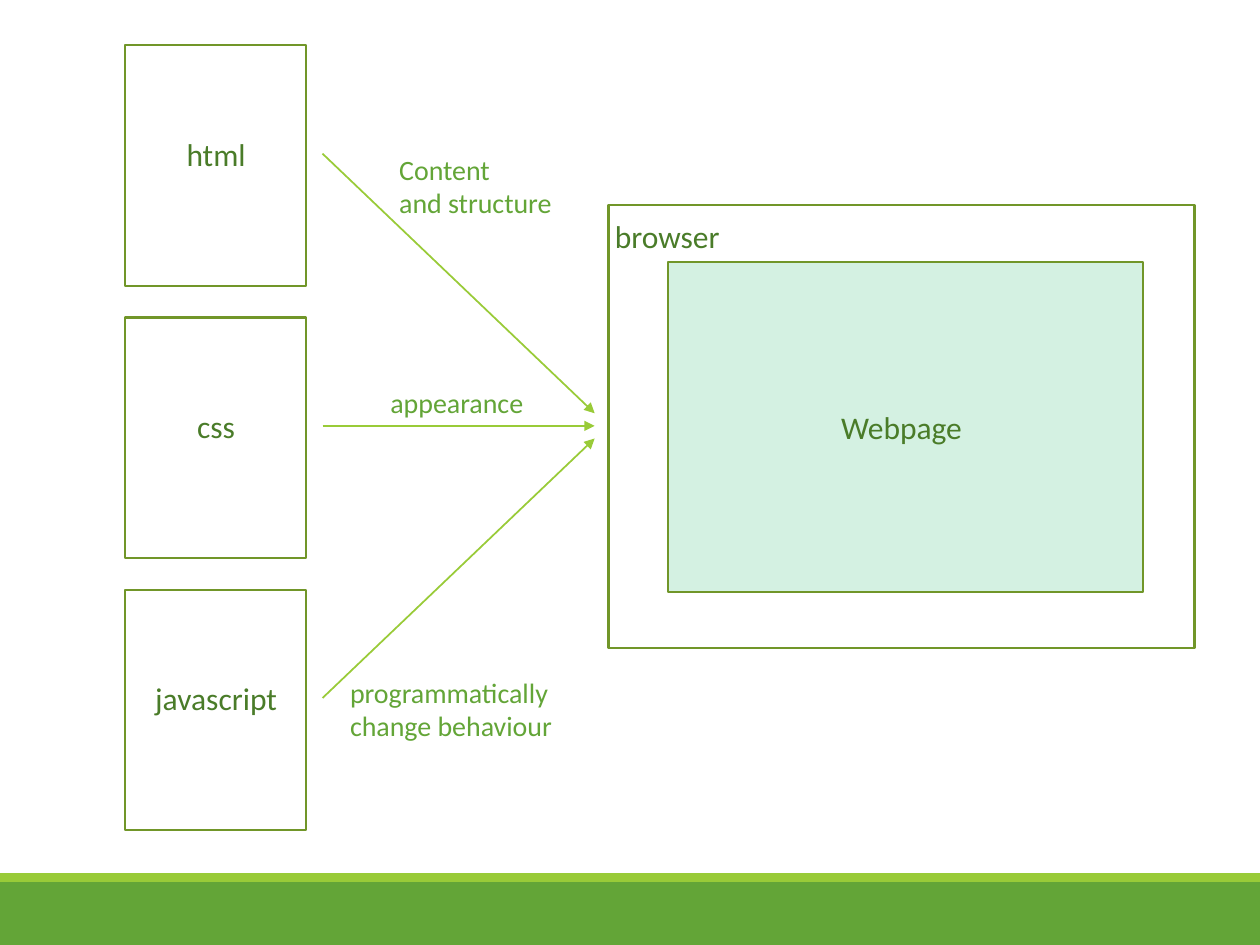
from lxml import etree
from pptx import Presentation
from pptx.dml.color import RGBColor
from pptx.enum import shapes, text
from pptx.oxml.ns import qn
from pptx.util import Inches, Pt

FONT = "Calibri"
GREEN, LIME = "63A537", "99CB38"
OUTLINE, DARK = "719629", "4A7C29"
MINT, WHITE = "D4F1E2", "FFFFFF"
RECTANGLE = shapes.MSO_SHAPE.RECTANGLE
PROCESS = shapes.MSO_SHAPE.FLOWCHART_PROCESS


def color(value):
    return RGBColor.from_string(value)


class Diagram:
    def __init__(self, slide):
        self.shapes = slide.shapes

    def box(self, left, top, width, height, fill=None, line=None, kind=RECTANGLE):
        shape = self.shapes.add_shape(
            kind, Inches(left), Inches(top), Inches(width), Inches(height))
        shape.shadow.inherit = False
        if fill:
            shape.fill.solid()
            shape.fill.fore_color.rgb = color(fill)
        else:
            shape.fill.background()
        if line:
            shape.line.color.rgb = color(line)
            shape.line.width = Pt(1.25)
        else:
            shape.line.fill.background()

    def arrow(self, start, end):
        line = self.shapes.add_connector(
            shapes.MSO_CONNECTOR.STRAIGHT, *map(Inches, start + end))
        line.line.color.rgb = color(LIME)
        line.line.width = Pt(1)
        etree.SubElement(line.line._get_or_add_ln(), qn("a:tailEnd"), type="triangle")
        etree.SubElement(line._element.spPr, qn("a:effectLst"))

    def label(self, words, left, top, width, height, size=16, ink=GREEN,
              align=text.PP_ALIGN.LEFT):
        box = self.shapes.add_textbox(
            Inches(left), Inches(top), Inches(width), Inches(height))
        frame = box.text_frame
        frame.word_wrap = True
        frame.auto_size = text.MSO_AUTO_SIZE.SHAPE_TO_FIT_TEXT
        frame.text = words
        for para in frame.paragraphs:
            para.alignment = align
            for span in para.runs:
                span.font.name = FONT
                span.font.size = Pt(size)
                span.font.color.rgb = color(ink)

    def name(self, words, left, top):
        self.label(words, left, top, 1.69, 0.4, 18, DARK, text.PP_ALIGN.CENTER)


def main():
    deck = Presentation()
    deck.slide_width, deck.slide_height = Inches(10), Inches(7.5)
    diagram = Diagram(deck.slides.add_slide(deck.slide_layouts[6]))

    # Footer bands
    diagram.box(0, 7, 10, 0.5, GREEN)
    diagram.box(0, 6.93, 10, 0.07, LIME)

    # Arrows from each source file to the browser
    middle, pitch = 3.38, 2.16
    for step in (1, 0, -1):
        diagram.arrow((2.56, middle + step * pitch), (4.72, middle + step * 0.1))

    # Webpage
    diagram.box(5.3, 2.08, 3.77, 2.62, MINT, OUTLINE)
    diagram.name("Webpage", 6.31, 3.19)

    # Source files
    for row, language in enumerate(("html", "css", "javascript")):
        top = 0.36 + row * pitch
        diagram.box(0.99, top, 1.44, 1.91, WHITE, OUTLINE, PROCESS)
        diagram.name(language, 0.87, top + 0.66)

    # What each file contributes
    diagram.label("Content\nand structure", 3.07, 1.16, 1.76, 0.64)
    diagram.label("appearance", 3, 3.01, 1.28, 0.37)
    diagram.label("programmatically change behaviour", 2.68, 5.31, 1.93, 0.64)

    # Browser frame
    diagram.box(4.83, 1.63, 4.65, 3.51, line=OUTLINE, kind=PROCESS)
    diagram.name("browser", 4.45, 1.67)

    deck.save("out.pptx")


if __name__ == "__main__":
    main()
